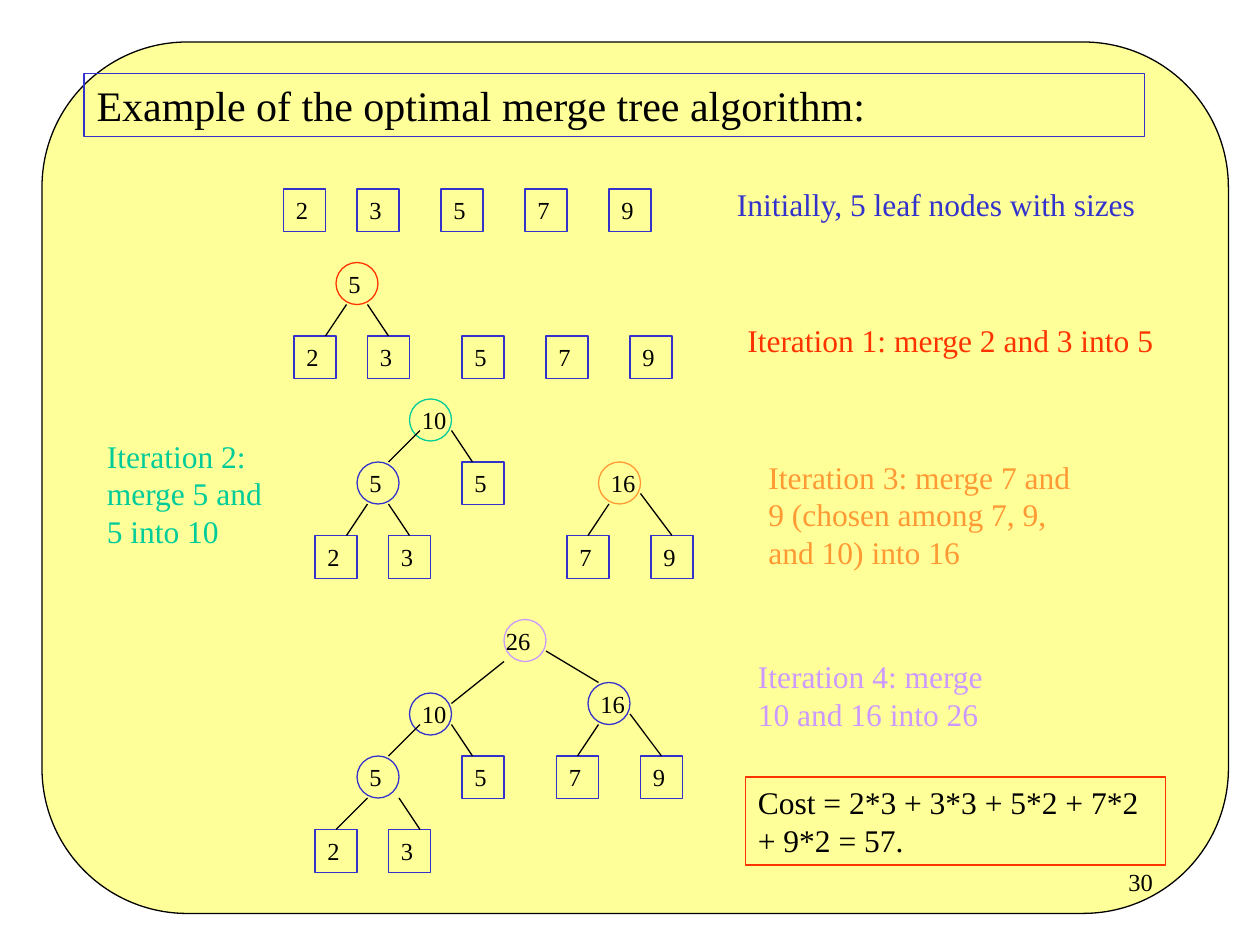
from typing import NamedTuple

from lxml import etree
from pptx import Presentation
from pptx.dml.color import RGBColor
from pptx.enum.shapes import MSO_CONNECTOR, MSO_SHAPE
from pptx.enum.text import MSO_ANCHOR, MSO_AUTO_SIZE, PP_ALIGN
from pptx.oxml.ns import qn
from pptx.util import Cm, Length, Pt

RECTANGLE, OVAL, ROUNDED = MSO_SHAPE.RECTANGLE, MSO_SHAPE.OVAL, MSO_SHAPE.ROUNDED_RECTANGLE
STRAIGHT = MSO_CONNECTOR.STRAIGHT
TOP = MSO_ANCHOR.TOP
LEFT, RIGHT = PP_ALIGN.LEFT, PP_ALIGN.RIGHT
FIXED_SIZE = MSO_AUTO_SIZE.NONE

FONT = "Times New Roman"
COLORS = {
    "black": "000000", "panel": "FFFF99", "blue": "3333CC", "red": "FF3300",
    "green": "00CC99", "orange": "FF9933", "violet": "CC99FF",
}
GRID_CM = 2.54 / 12
LINE_WIDTH = Pt(0.75)
NODE_SIZE = 4
LABEL_HEIGHT = 4.08


class LeafRow(NamedTuple):
    top: float
    sizes_by_left: dict[float, int]


class MergeNode(NamedTuple):
    left: float
    top: float
    size: int
    color: str = "blue"
    label_shift: float = 0


class Edge(NamedTuple):
    x1: float
    y1: float
    x2: float
    y2: float


class Note(NamedTuple):
    left: float
    top: float
    width: float
    lines: int
    text: str
    color: str


LEAF_ROWS = [
    LeafRow(18, {27: 2, 34: 3, 42: 5, 50: 7, 58: 9}),
    LeafRow(32, {28: 2, 35: 3, 44: 5, 52: 7, 60: 9}),
    LeafRow(44, {44: 5}),
    LeafRow(51, {30: 2, 37: 3, 54: 7, 62: 9}),
    LeafRow(72, {44: 5, 53: 7, 61: 9}),
    LeafRow(79, {30: 2, 37: 3}),
]
MERGE_NODES = [
    MergeNode(32, 25, 5, "red"),
    MergeNode(39, 38, 10, "green"),
    MergeNode(34, 44, 5),
    MergeNode(57, 44, 16, "orange"),
    MergeNode(48, 59, 26, "violet", -1),
    MergeNode(39, 66, 10),
    MergeNode(56, 65, 16),
    MergeNode(34, 72, 5),
]
EDGES = [
    Edge(33, 29, 31, 32), Edge(35, 29, 37, 32),
    Edge(40, 41, 37, 44), Edge(43, 41, 45, 44),
    Edge(35, 48, 33, 51), Edge(37, 48, 39, 51),
    Edge(58, 48, 56, 51), Edge(61, 47, 64, 51),
    Edge(48, 63, 43, 67), Edge(52, 62, 57, 65),
    Edge(40, 69, 37, 72), Edge(43, 69, 45, 72),
    Edge(57, 69, 55, 72), Edge(60, 68, 63, 72),
    Edge(35, 76, 32, 79), Edge(38, 76, 40, 79),
]
NOTES = [
    Note(69, 17, 41, 1, "Initially, 5 leaf nodes with sizes", "blue"),
    Note(70, 30, 42, 1, "Iteration 1: merge 2 and 3 into 5", "red"),
    Note(9, 41, 19, 3, "Iteration 2: merge 5 and 5 into 10", "green"),
    Note(72, 43, 33, 3, "Iteration 3: merge 7 and 9 (chosen among 7, 9, and 10) into 16", "orange"),
    Note(71, 62, 27, 2, "Iteration 4: merge 10 and 16 into 26", "violet"),
]


def grid(*units: float) -> list[Length]:
    return [Cm(unit * GRID_CM) for unit in units]


def color(name: str) -> RGBColor:
    return RGBColor.from_string(COLORS[name])


def write(shape, text: str, size: float, ink: str = "black", align=LEFT) -> None:
    frame = shape.text_frame
    frame.text = text
    frame.word_wrap = True
    frame.auto_size = FIXED_SIZE
    frame.vertical_anchor = TOP
    paragraph = frame.paragraphs[0]
    paragraph.alignment = align
    font = paragraph.runs[0].font
    font.name, font.size = FONT, Pt(size)
    font.color.rgb = color(ink)


def outline(shape, name: str) -> None:
    shape.line.color.rgb = color(name)
    shape.line.width = LINE_WIDTH


def add_outlined(shapes, kind, box: list[Length], line: str, fill: str = ""):
    shape = shapes.add_shape(kind, *box)
    shape.shadow.inherit = False
    outline(shape, line)
    if fill:
        shape.fill.solid()
        shape.fill.fore_color.rgb = color(fill)
    else:
        shape.fill.background()
    return shape


def add_text(shapes, box: list[Length], text: str, size: float, ink: str = "black", align=LEFT) -> None:
    write(shapes.add_textbox(*box), text, size, ink, align)


def add_leaf_row(shapes, row: LeafRow) -> None:
    for left, size in row.sizes_by_left.items():
        leaf = add_outlined(shapes, RECTANGLE, grid(left, row.top, NODE_SIZE, LABEL_HEIGHT), "blue")
        write(leaf, str(size), 14)


def add_merge_node(shapes, node: MergeNode) -> None:
    add_outlined(shapes, OVAL, grid(node.left, node.top, NODE_SIZE, NODE_SIZE), node.color)
    label = str(node.size)
    label_box = grid(node.left + node.label_shift, node.top, 3 + len(label), LABEL_HEIGHT)
    add_text(shapes, label_box, label, 14)


def add_edge(shapes, edge: Edge) -> None:
    branch = shapes.add_connector(STRAIGHT, *grid(*edge))
    outline(branch, "black")
    etree.SubElement(branch.element.spPr, qn("a:effectLst"))


def note_box(note: Note) -> list[Length]:
    return grid(note.left, note.top, note.width, 1.2 + 3.6 * note.lines)


def build() -> None:
    deck = Presentation()
    deck.slide_width, deck.slide_height = Cm(25.4), Cm(19.05)
    slide = deck.slides.add_slide(deck.slide_layouts[5])
    shapes = slide.shapes

    heading = shapes.title
    heading.left, heading.top, heading.width, heading.height = grid(8, 7, 101, 6)
    write(heading, "Example of the optimal merge tree algorithm:", 24)
    outline(heading, "blue")

    panel = add_outlined(shapes, ROUNDED, grid(4, 4, 113, 83), "black", "panel")
    heading.element.addprevious(panel.element)

    for row in LEAF_ROWS:
        add_leaf_row(shapes, row)
    for node in MERGE_NODES:
        add_merge_node(shapes, node)
    for edge in EDGES:
        add_edge(shapes, edge)
    for note in NOTES:
        add_text(shapes, note_box(note), note.text, 18, note.color)

    cost = Note(71, 74, 40, 2, "Cost = 2*3 + 3*3 + 5*2 + 7*2 + 9*2 = 57.", "black")
    write(add_outlined(shapes, RECTANGLE, note_box(cost), "red"), cost.text, 18, cost.color)
    add_text(shapes, grid(86, 82, 25, 6), "30", 14, align=RIGHT)

    deck.save("out.pptx")


build()
